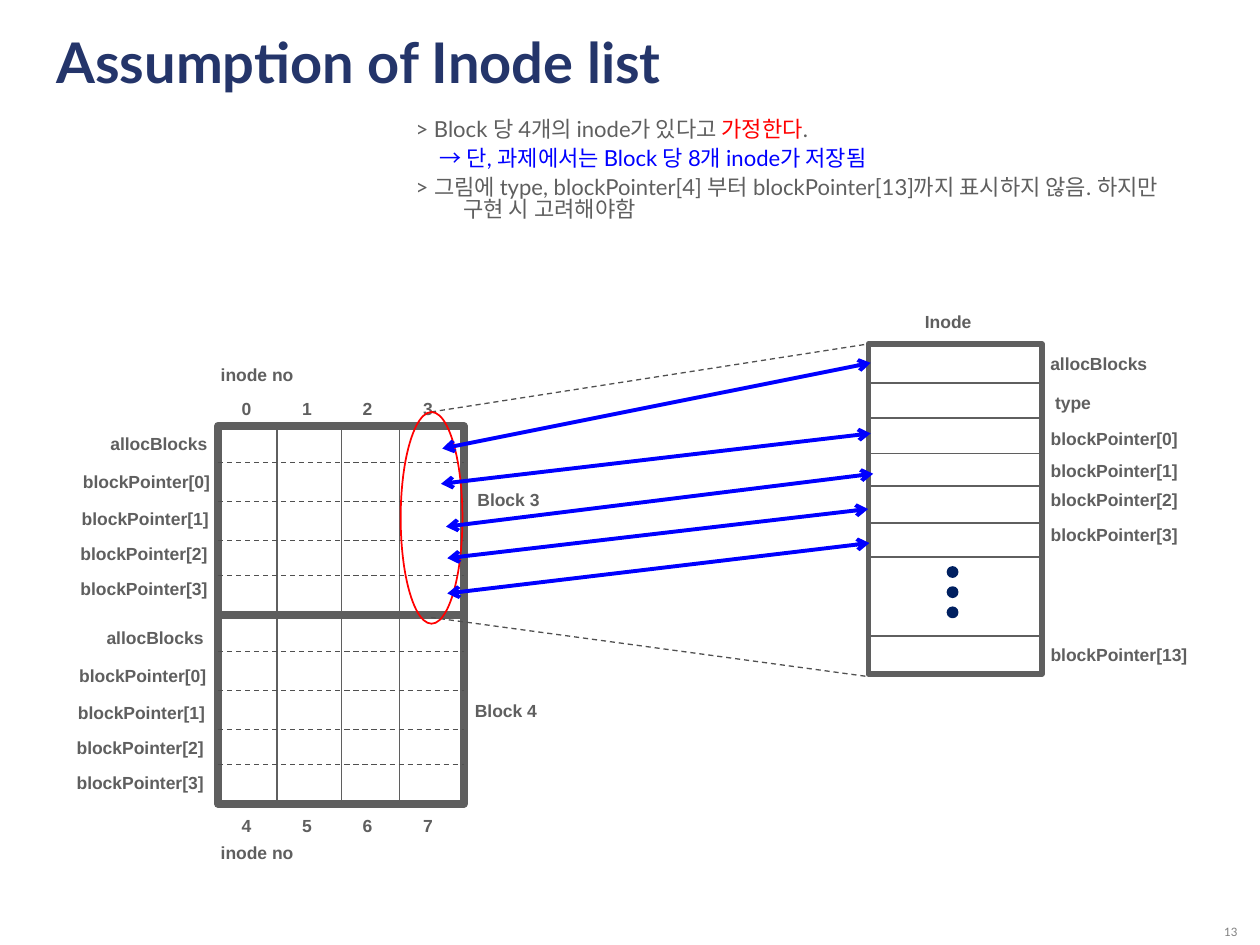
from lxml import etree
from pptx import Presentation
from pptx import util as u
from pptx.dml.color import RGBColor
from pptx.enum import dml, shapes, text
from pptx.oxml import ns

SLIDE_WIDTH, SLIDE_HEIGHT = u.Inches(10), u.Inches(7.5)
COLUMN, ROW = SLIDE_WIDTH / 100, SLIDE_HEIGHT / 75

GREY = RGBColor(0x5F, 0x5F, 0x5F)
DARK_GREY = RGBColor(0x50, 0x50, 0x50)
PALE_GREY = RGBColor(0x80, 0x80, 0x80)
NAVY = RGBColor(0x24, 0x35, 0x6A)
DOT_NAVY = RGBColor(0x00, 0x20, 0x60)
RED = RGBColor(0xFF, 0x00, 0x00)
BLUE = RGBColor(0x00, 0x00, 0xFF)

POINTERS = [f"blockPointer[{number}]" for number in range(4)]
BLOCK_LEFT, BLOCK_TOP, BLOCK_WIDTH, BLOCK_HEIGHT = 17.3, 33.8, 19.5, 15
INODE_LEFT, INODE_TOP, INODE_WIDTH, INODE_HEIGHT = 68.9, 27.3, 13.8, 26.2


def across(columns):
    return u.Emu(round(columns * COLUMN))


def down(rows):
    return u.Emu(round(rows * ROW))


def add_run(paragraph, words, size, color, font="Lato", bold=False):
    run = paragraph.add_run()
    run.text = words
    run.font.name = font
    run.font.size = u.Pt(size)
    run.font.bold = bold
    run.font.color.rgb = color


def add_frame(slide, left, top, width, height, wrap=True):
    shape = slide.shapes.add_textbox(across(left), down(top), across(width), down(height))
    shape.text_frame.word_wrap = wrap
    return shape.text_frame


def add_label(slide, words, left, top, width, centered=False):
    frame = add_frame(slide, left, top, width, 2.7, wrap=False)
    paragraph = frame.paragraphs[0]
    paragraph.alignment = text.PP_ALIGN.CENTER if centered else text.PP_ALIGN.LEFT
    add_run(paragraph, words, 10, GREY, "Arial", True)


def add_line(slide, start, end, color=GREY, weight=1, dashed=False, arrows=False):
    connector = slide.shapes.add_connector(
        shapes.MSO_CONNECTOR.STRAIGHT,
        across(start[0]), down(start[1]), across(end[0]), down(end[1]))
    connector.line.color.rgb = color
    connector.line.width = u.Pt(weight)
    if dashed:
        connector.line.dash_style = dml.MSO_LINE.DASH
    if arrows:
        outline = connector.line._get_or_add_ln()
        for name in ("a:headEnd", "a:tailEnd"):
            etree.SubElement(outline, ns.qn(name), type="arrow")
    etree.SubElement(connector._element.spPr, ns.qn("a:effectLst"))


def add_outline(slide, kind, left, top, width, height, color, weight, fill=None):
    shape = slide.shapes.add_shape(
        kind, across(left), down(top), across(width), down(height))
    shape.shadow.inherit = False
    if fill is None:
        shape.fill.background()
    else:
        shape.fill.solid()
        shape.fill.fore_color.rgb = fill
    shape.line.color.rgb = color
    shape.line.width = u.Pt(weight)
    etree.SubElement(shape.line._get_or_add_ln(), ns.qn("a:round"))


def add_heading(slide):
    paragraph = add_frame(slide, 3.5, 1.7, 90.3, 12.2).paragraphs[0]
    add_run(paragraph, "Assumption of Inode list", 32, NAVY, bold=True)


def add_notes_text(slide):
    frame = add_frame(slide, 32, 9.1, 63.4, 11.3)
    lines = [
        (3.8, -3.8, [("> Block 당 4개의 inode가 있다고 ", GREY, "Lato"),
                     ("가정한다", RED, "Lato"), (".", GREY, "Lato")]),
        (1.9, 0, [("→ ", BLUE, "Arial"),
                  ("단, 과제에서는 Block 당 8개 inode가 저장됨", BLUE, "Lato")]),
        (3.8, -3.8, [("> 그림에 type, blockPointer[4] 부터 blockPointer[13]까지 "
                      "표시하지 않음. 하지만 구현 시 고려해야함", GREY, "Lato")]),
    ]
    for index, (margin, indent, runs) in enumerate(lines):
        paragraph = frame.add_paragraph() if index else frame.paragraphs[0]
        paragraph.line_spacing = 0.8
        if index:
            paragraph.space_before = u.Pt(4.5)
        properties = paragraph._p.get_or_add_pPr()
        properties.set("marL", str(across(margin)))
        properties.set("indent", str(across(indent)))
        for words, color, font in runs:
            add_run(paragraph, words, 12.6, color, font)


def add_block(slide, top):
    right, bottom = BLOCK_LEFT + BLOCK_WIDTH, top + BLOCK_HEIGHT
    add_line(slide, (17.7, top - 0.2), (32.9, top - 0.2))
    add_outline(slide, shapes.MSO_SHAPE.RECTANGLE, BLOCK_LEFT, top,
                BLOCK_WIDTH, BLOCK_HEIGHT, GREY, 4.5)
    for column in (22, 27.1, 31.7):
        add_line(slide, (column, bottom), (column, top))
    for row in (2.9, 6, 9.1, 11.9):
        add_line(slide, (BLOCK_LEFT, top + row), (right, top + row), DARK_GREY, 0.75, dashed=True)


def add_row_labels(slide, left, top):
    add_label(slide, "allocBlocks", left + 2.3, top, 9.8, centered=True)
    for name, shift, row in zip(POINTERS, (0.2, 0.1, 0, 0), (3, 5.9, 8.7, 11.5)):
        add_label(slide, name, left + shift, top + row, 12.2)


def add_inode_numbers(slide, first, top, caption_top):
    add_label(slide, "inode no", 14.4, caption_top, 12, centered=True)
    for index in range(4):
        add_label(slide, str(first + index), 18.2 + 4.8 * index, top, 2.7, centered=True)


def add_inode(slide):
    right = INODE_LEFT + INODE_WIDTH
    add_label(slide, "Inode", 72.4, 24.2, 5.7, centered=True)
    add_outline(slide, shapes.MSO_SHAPE.RECTANGLE, INODE_LEFT, INODE_TOP,
                INODE_WIDTH, INODE_HEIGHT, GREY, 3)
    for row in (30.4, 33.2, 36, 38.6, 41.5, 44.2, 50.5):
        add_line(slide, (INODE_LEFT, row), (right, row))
    for index in range(3):
        add_outline(slide, shapes.MSO_SHAPE.OVAL, 75.2, 45 + 1.6 * index,
                    0.8, 0.8, DOT_NAVY, 1, DOT_NAVY)
    add_label(slide, "allocBlocks", 82.3, 27.5, 9.8, centered=True)
    add_label(slide, "type", 82.7, 30.6, 4.9, centered=True)
    for name, row in zip(POINTERS, (33.5, 36, 38.3, 41.1)):
        add_label(slide, name, 82.4, row, 12.2)
    add_label(slide, "blockPointer[13]", 82.4, 50.6, 13)


def add_mapping(slide):
    for start, end in (((34.2, 32.7), (68.9, 27.3)), ((34.2, 49), (68.9, 53.7))):
        add_line(slide, start, end, DARK_GREY, 0.75, dashed=True)
    add_outline(slide, shapes.MSO_SHAPE.OVAL, 31.8, 32.7, 4.9, 16.8, RED, 1)
    arrows = [
        ((35.1, 35.6), (69.1, 28.8)),
        ((35, 38.4), (69.1, 34.4)),
        ((35.4, 41.8), (69.3, 37.6)),
        ((35.5, 44.3), (68.9, 40.4)),
        ((35.5, 47.1), (69, 43.1)),
    ]
    for start, end in arrows:
        add_line(slide, start, end, BLUE, 2.25, arrows=True)


def add_page_number(slide):
    frame = add_frame(slide, 89.2, 72.5, 10, 2.5)
    frame.vertical_anchor = text.MSO_ANCHOR.BOTTOM
    paragraph = frame.paragraphs[0]
    paragraph.alignment = text.PP_ALIGN.RIGHT
    paragraph.line_spacing = 0.8
    add_run(paragraph, "13", 6.6, PALE_GREY)


def main():
    presentation = Presentation()
    presentation.slide_width, presentation.slide_height = SLIDE_WIDTH, SLIDE_HEIGHT
    slide = presentation.slides.add_slide(presentation.slide_layouts[6])
    add_page_number(slide)
    add_heading(slide)
    add_notes_text(slide)
    for index in range(2):
        add_block(slide, BLOCK_TOP + BLOCK_HEIGHT * index)
        add_label(slide, f"Block {3 + index}", 36.9 - 0.2 * index,
                  38.3 + 16.8 * index, 6.9, centered=True)
        add_row_labels(slide, 5.4 - 0.3 * index, 33.9 + 15.4 * index)
    add_inode_numbers(slide, 0, 31.1, 28.4)
    add_inode_numbers(slide, 4, 64.2, 66.3)
    add_inode(slide)
    add_mapping(slide)
    presentation.save("out.pptx")


if __name__ == "__main__":
    main()
